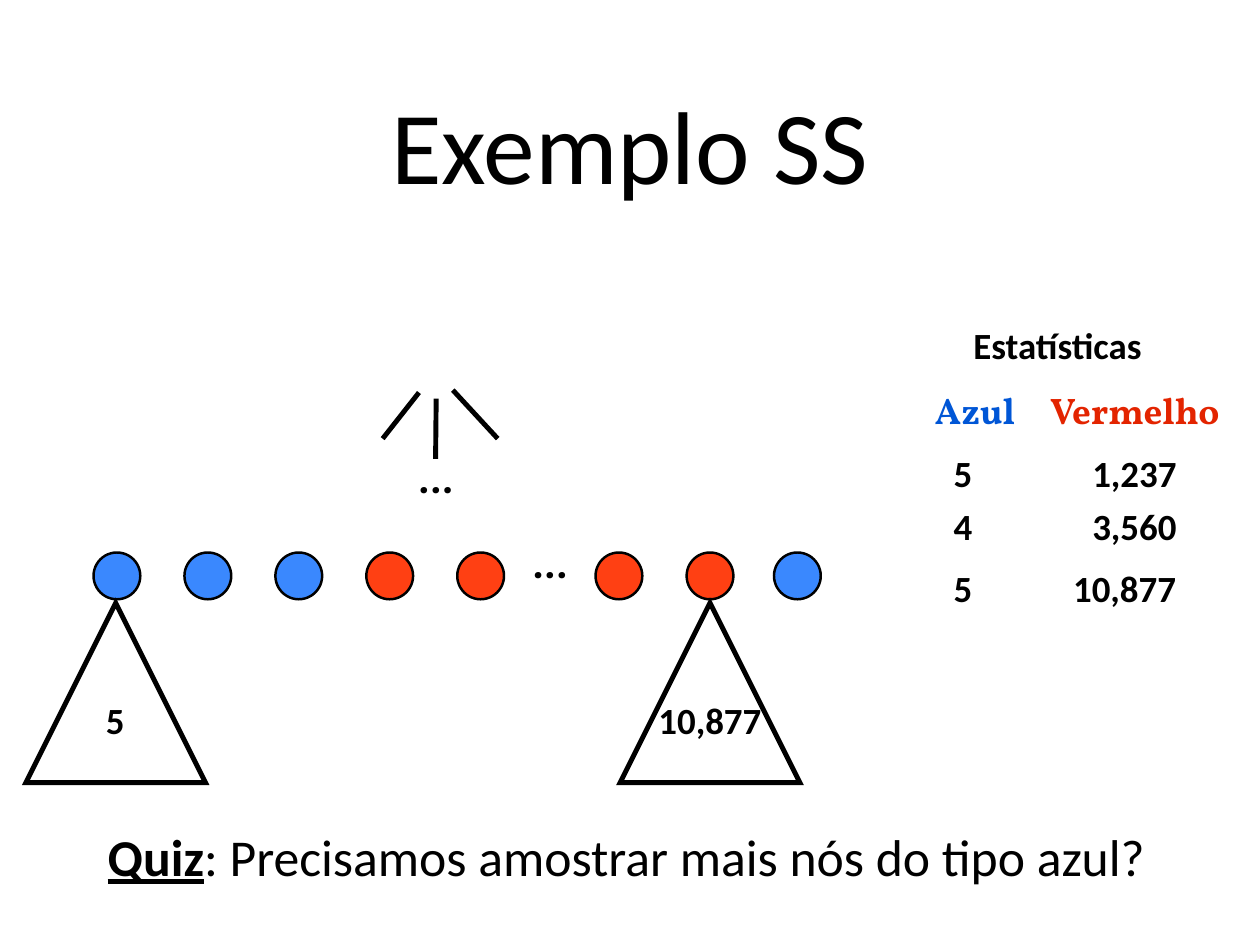
from lxml import etree
from pptx import Presentation
from pptx.dml.color import RGBColor
from pptx.enum.shapes import MSO_CONNECTOR, MSO_SHAPE
from pptx.enum.text import MSO_ANCHOR, PP_ALIGN
from pptx.oxml.ns import qn
from pptx.util import Pt

OVAL, TRIANGLE = MSO_SHAPE.OVAL, MSO_SHAPE.ISOSCELES_TRIANGLE
STRAIGHT = MSO_CONNECTOR.STRAIGHT
MIDDLE = MSO_ANCHOR.MIDDLE
LEFT, CENTER = PP_ALIGN.LEFT, PP_ALIGN.CENTER

BLACK = RGBColor(0x00, 0x00, 0x00)
NODE_BLUE = RGBColor(0x3A, 0x88, 0xFE)
NODE_RED = RGBColor(0xFF, 0x40, 0x13)
TEXT_BLUE = RGBColor(0x00, 0x56, 0xD6)
TEXT_RED = RGBColor(0xE3, 0x24, 0x00)

SANS, SERIF = "Calibri", "Vollkorn"

NODE_Y, NODE_SIZE, NODE_GAP = 468, 38, 73.9
TREE_TOP, TREE_SIZE = 490, 146


def add_text_frame(slide, center_x, center_y, width, height, align, inset=0):
    box = slide.shapes.add_textbox(Pt(center_x - width / 2), Pt(center_y - height / 2),
                                   Pt(width), Pt(height))
    frame = box.text_frame
    frame.word_wrap = False
    frame.vertical_anchor = MIDDLE
    frame.margin_left = frame.margin_right = Pt(inset)
    frame.margin_top = frame.margin_bottom = Pt(inset)
    frame.paragraphs[0].alignment = align
    return frame


def add_run(frame, text, size, font=SANS, color=BLACK, bold=False, underline=False):
    run = frame.paragraphs[0].add_run()
    run.text = text
    run.font.size = Pt(size)
    run.font.name = font
    run.font.color.rgb = color
    run.font.bold = bold
    run.font.underline = underline


def add_label(slide, text, center_x, center_y, width, font=SANS, color=BLACK):
    frame = add_text_frame(slide, center_x, center_y, width, 48, CENTER)
    add_run(frame, text, 30, font, color, bold=True)


def add_node(slide, center_x, color):
    node = slide.shapes.add_shape(OVAL, Pt(center_x - NODE_SIZE / 2),
                                  Pt(NODE_Y - NODE_SIZE / 2), Pt(NODE_SIZE), Pt(NODE_SIZE))
    node.shadow.inherit = False
    node.fill.solid()
    node.fill.fore_color.rgb = color
    node.line.color.rgb = BLACK
    node.line.width = Pt(2)


def add_subtree(slide, apex_x):
    subtree = slide.shapes.add_shape(TRIANGLE, Pt(apex_x - TREE_SIZE / 2), Pt(TREE_TOP),
                                     Pt(TREE_SIZE), Pt(TREE_SIZE))
    subtree.shadow.inherit = False
    subtree.fill.background()
    subtree.line.color.rgb = BLACK
    subtree.line.width = Pt(4)
    outline = subtree.line.fill._xPr
    etree.SubElement(outline, qn("a:miter"), lim="800000")


def add_branch(slide, start_x, start_y, end_x, end_y):
    branch = slide.shapes.add_connector(STRAIGHT, Pt(start_x), Pt(start_y),
                                        Pt(end_x), Pt(end_y))
    branch.line.color.rgb = BLACK
    branch.line.width = Pt(4)
    etree.SubElement(branch._element.spPr, qn("a:effectLst"))


def add_search_tree(slide):
    for ends in ((368, 317, 404.5, 356.5), (340.5, 319, 311, 356.5), (354.5, 324, 354, 373)):
        add_branch(slide, *ends)
    for center_x, center_y in ((354.2, 389.2), (447, 458.3)):
        add_label(slide, "...", center_x, center_y, 32, SERIF)

    for index, color in enumerate([NODE_BLUE] * 3 + [NODE_RED] * 2):
        add_node(slide, 95 + index * NODE_GAP, color)
    for center_x, color in ((503, NODE_RED), (577, NODE_RED), (648, NODE_BLUE)):
        add_node(slide, center_x, color)

    for apex_x, count, count_x, width in ((94, "5", 93.6, 24), (577, "10,877", 577, 96)):
        add_subtree(slide, apex_x)
        add_label(slide, count, count_x - (5 if width > 24 else 4) * 0, 585, width)


def add_statistics(slide):
    add_label(slide, "Estatísticas", 859.5, 280.4, 154)
    add_label(slide, "Azul", 792.4, 333, 76, SERIF, TEXT_BLUE)
    add_label(slide, "Vermelho", 922.3, 333, 142, SERIF, TEXT_RED)
    rows = (("5", "1,237", 384, 80), ("4", "3,560", 427.3, 80), ("5", "10,877", 477.7, 96))
    for blue_count, red_count, center_y, red_width in rows:
        add_label(slide, blue_count, 782.6, center_y, 24)
        add_label(slide, red_count, 962 - red_width / 2, center_y, red_width)


def main():
    presentation = Presentation()
    presentation.slide_width, presentation.slide_height = Pt(1024), Pt(768)
    slide = presentation.slides.add_slide(presentation.slide_layouts[6])

    title = add_text_frame(slide, 512, 116, 824, 192, CENTER, 4)
    add_run(title, "Exemplo SS", 84)
    add_search_tree(slide)
    add_statistics(slide)
    quiz = add_text_frame(slide, 512.3, 695.5, 857.5, 59, LEFT, 4)
    add_run(quiz, "Quiz", 42, bold=True, underline=True)
    add_run(quiz, ": Precisamos amostrar mais nós do tipo azul?", 42)

    presentation.save("out.pptx")


if __name__ == "__main__":
    main()
